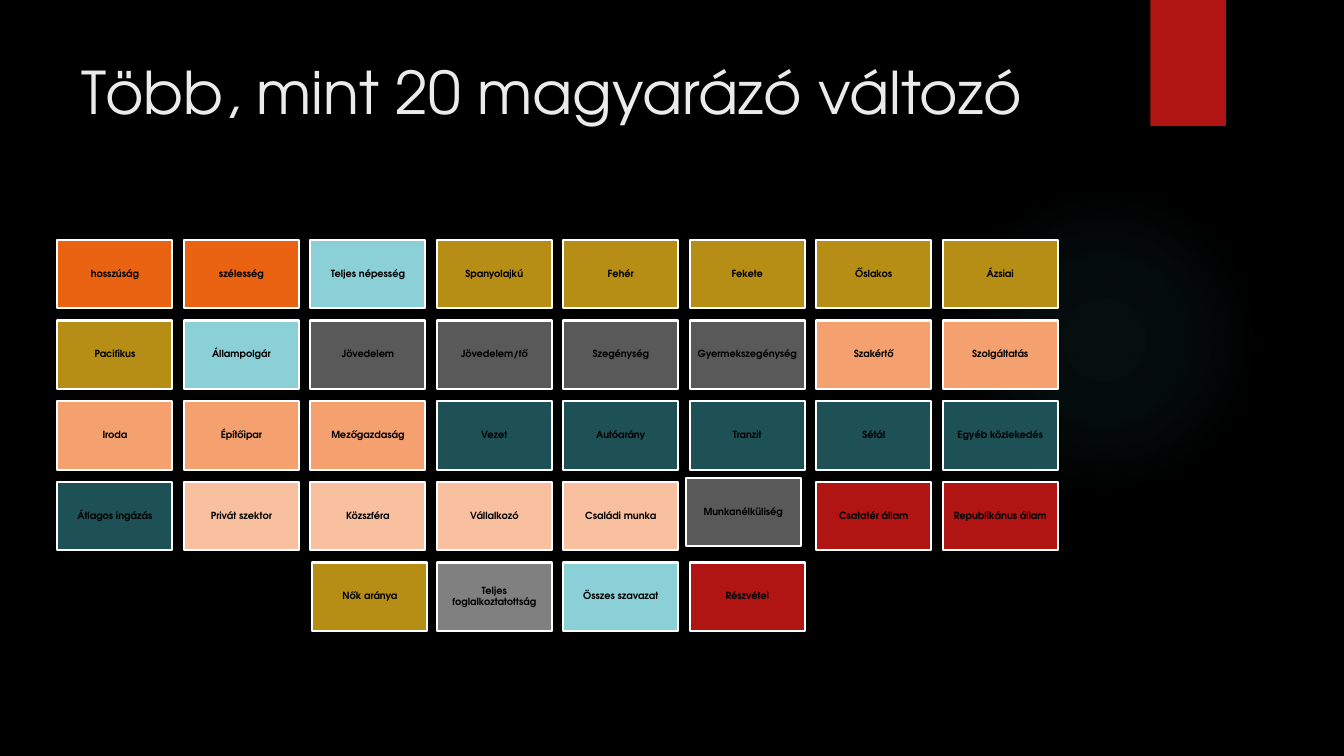
from dataclasses import dataclass

from lxml.etree import SubElement
from pptx import Presentation
from pptx.dml.color import RGBColor
from pptx.enum.shapes import MSO_SHAPE
from pptx.enum.text import MSO_ANCHOR, PP_ALIGN
from pptx.oxml.ns import qn
from pptx.shapes.autoshape import Shape
from pptx.slide import Slide
from pptx.text.text import TextFrame
from pptx.util import Inches, Pt

FONT = "TeX Gyre Adventor"
HUES = {
    "black": "000000", "white": "FFFFFF", "title": "EBEBEB", "glow": "50B9C1",
    "orange": "EA6312", "aqua": "8AD0D6", "gold": "B68E15", "dark": "595959",
    "peach": "F4A16F", "teal": "1E5155", "pale": "F8C09F", "red": "B01513",
    "gray": "808080",
}
COLS = 8
LEFT, TOP = 0.57, 2.38
WIDE, HIGH = 1.14, 0.68
STEP_X, STEP_Y = (9.35 - LEFT) / (COLS - 1), 0.8
LAST_ROW, INDENT = 4, 2


@dataclass(frozen=True)
class Tile:
    text: str
    hue: str
    dx: float = 0
    dy: float = 0


TILES = [
    Tile("hosszúság", "orange"),
    Tile("szélesség", "orange"),
    Tile("Teljes népesség", "aqua"),
    Tile("Spanyolajkú", "gold"),
    Tile("Fehér", "gold"),
    Tile("Fekete", "gold"),
    Tile("Őslakos", "gold"),
    Tile("Ázsiai", "gold"),
    Tile("Pacifikus", "gold"),
    Tile("Állampolgár", "aqua"),
    Tile("Jövedelem", "dark"),
    Tile("Jövedelem/fő", "dark"),
    Tile("Szegénység", "dark"),
    Tile("Gyermekszegénység", "dark"),
    Tile("Szakértő", "peach"),
    Tile("Szolgáltatás", "peach"),
    Tile("Iroda", "peach"),
    Tile("Építőipar", "peach"),
    Tile("Mezőgazdaság", "peach"),
    Tile("Vezet", "teal"),
    Tile("Autóarány", "teal"),
    Tile("Tranzit", "teal"),
    Tile("Sétál", "teal"),
    Tile("Egyéb közlekedés", "teal"),
    Tile("Átlagos ingázás", "teal"),
    Tile("Privát szektor", "pale"),
    Tile("Közszféra", "pale"),
    Tile("Vállalkozó", "pale"),
    Tile("Családi munka", "pale"),
    Tile("Munkanélküliség", "dark", -0.04, -0.04),
    Tile("Csatatér állam", "red"),
    Tile("Republikánus állam", "red"),
    Tile("Nők aránya", "gold", 0.02),
    Tile("Teljes foglalkoztatottság", "gray"),
    Tile("Összes szavazat", "aqua"),
    Tile("Részvétel", "red"),
]


def tint(name: str) -> RGBColor:
    return RGBColor.from_string(HUES[name])


def write(frame: TextFrame, text: str, size: float, hue: str, bold: bool) -> None:
    run = frame.paragraphs[0].add_run()
    run.text = text
    font = run.font
    font.name, font.size, font.bold = FONT, Pt(size), bold
    font.color.rgb = tint(hue)


def block(slide: Slide, kind: MSO_SHAPE, x: float, y: float,
          wide: float, high: float, hue: str) -> Shape:
    shape = slide.shapes.add_shape(kind, Inches(x), Inches(y), Inches(wide), Inches(high))
    shape.shadow.inherit = False
    shape.fill.solid()
    shape.fill.fore_color.rgb = tint(hue)
    shape.line.fill.background()
    return shape


def add_glow(slide: Slide) -> None:
    shape = block(slide, MSO_SHAPE.OVAL, 9.41, 1.83, 3.08, 3.08, "glow")
    shape.fill.gradient()
    grad = shape.element.spPr.find(qn("a:gradFill"))
    for child in list(grad):
        grad.remove(child)
    stops = SubElement(grad, qn("a:gsLst"))
    for spot, alpha in ((0, 7), (36, 6), (69, 0), (100, 0)):
        stop = SubElement(stops, qn("a:gs"), pos=str(spot * 1000))
        color = SubElement(stop, qn("a:srgbClr"), val=HUES["glow"])
        SubElement(color, qn("a:alpha"), val=str(alpha * 1000))
    ring = SubElement(grad, qn("a:path"), path="circle")
    SubElement(ring, qn("a:fillToRect"), l="50000", t="50000", r="50000", b="50000")


def add_title(slide: Slide) -> None:
    title = slide.shapes.title
    title.left, title.top = Inches(0.71), Inches(0.5)
    title.width, title.height = Inches(10.29), Inches(1.53)
    frame = title.text_frame
    frame.word_wrap = True
    frame.vertical_anchor = MSO_ANCHOR.TOP
    frame.paragraphs[0].alignment = PP_ALIGN.LEFT
    write(frame, "Több, mint 20 magyarázó változó", 42, "title", False)


def add_tile(slide: Slide, tile: Tile, col: int, row: int) -> None:
    x = LEFT + col * STEP_X + tile.dx
    y = TOP + row * STEP_Y + tile.dy
    shape = block(slide, MSO_SHAPE.RECTANGLE, x, y, WIDE, HIGH, tile.hue)
    shape.line.color.rgb = tint("white")
    shape.line.width = Pt(1.5)
    frame = shape.text_frame
    frame.word_wrap = True
    frame.vertical_anchor = MSO_ANCHOR.MIDDLE
    frame.margin_left = frame.margin_right = Inches(0.03)
    frame.margin_top = frame.margin_bottom = Inches(0.03)
    frame.paragraphs[0].alignment = PP_ALIGN.CENTER
    frame.paragraphs[0].line_spacing = 0.9
    write(frame, tile.text, 7, "black", True)


def main() -> None:
    deck = Presentation()
    deck.slide_width, deck.slide_height = Inches(13.33), Inches(7.5)
    slide = deck.slides.add_slide(deck.slide_layouts[5])
    slide.background.fill.solid()
    slide.background.fill.fore_color.rgb = tint("black")
    add_glow(slide)
    block(slide, MSO_SHAPE.RECTANGLE, 11.41, 0, 0.75, 1.25, "red")
    add_title(slide)
    for i, tile in enumerate(TILES):
        row, col = divmod(i, COLS)
        add_tile(slide, tile, col + (INDENT if row == LAST_ROW else 0), row)
    deck.save("out.pptx")


if __name__ == "__main__":
    main()
